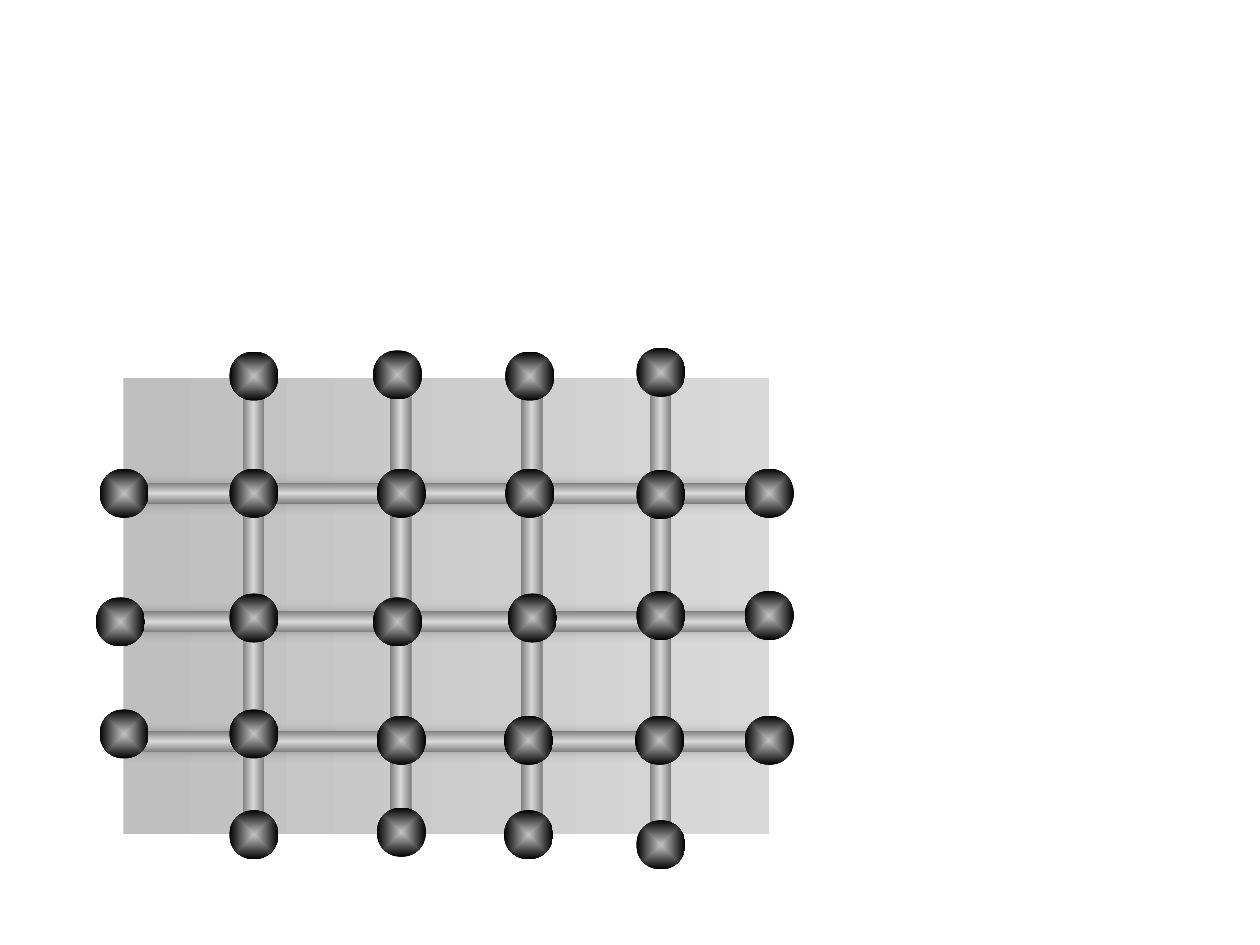
from dataclasses import dataclass
from lxml import etree
from pptx import Presentation
from pptx.enum.shapes import MSO_SHAPE as Shape
from pptx.oxml.ns import qn
from pptx.util import Inches, Pt


@dataclass(frozen=True)
class Theme:
    panel: tuple = ((3, "BFBFBF"), (100, "D9D9D9"))
    bar: tuple = ((1, "808080"), (50, "D9D9D9"), (100, "808080"))
    knot: tuple = ((3, "BFBFBF"), (100, "000000"))
    shadow: str = "000000"


THEME = Theme()
BAR_WIDTH = 0.17
KNOT_SIZE = 0.39
BAR_TOPS = (2.8, 1.85, 0.83)
BAR_CENTRES = (4.26, 3.24, 2.2, 1.03)
KNOT_ROWS = (
    ((0.84, -0.21), (1.98, -0.22), (3.03, -0.21), (4.07, -0.24)),
    ((-0.19, 0.72), (0.84, 0.72), (2.01, 0.72), (3.03, 0.72), (4.07, 0.73), (4.93, 0.72)),
    ((-0.22, 1.74), (0.84, 1.71), (1.98, 1.74), (3.05, 1.71), (4.07, 1.69), (4.93, 1.69)),
    ((-0.19, 2.63), (0.84, 2.63), (2.01, 2.68), (3.02, 2.68), (4.06, 2.68), (4.93, 2.68)),
    ((0.84, 3.43), (2.01, 3.41), (3.02, 3.43), (4.07, 3.51)),
)


def add_child(parent, tag, **attributes):
    values = {name: str(value) for name, value in attributes.items()}
    return etree.SubElement(parent, qn(tag), values)


def add_color(parent, color):
    return add_child(parent, "a:srgbClr", val=color)


def set_gradient(shape, stops, angle=None):
    shape.fill.background()
    properties = shape.element.spPr
    gradient = etree.Element(qn("a:gradFill"), rotWithShape="1")
    stop_list = add_child(gradient, "a:gsLst")
    for position, color in stops:
        add_color(add_child(stop_list, "a:gs", pos=position * 1000), color)
    if angle is None:
        center = add_child(gradient, "a:path", path="rect")
        add_child(center, "a:fillToRect", l=50000, t=50000, r=50000, b=50000)
    else:
        add_child(gradient, "a:lin", ang=angle * 60000, scaled=0)
    properties.replace(properties.find(qn("a:noFill")), gradient)


def set_soft_shadow(shape):
    effects = shape.element.spPr.find(qn("a:effectLst"))
    shadow = add_child(effects, "a:outerShdw", blurRad=Pt(6), dist=0,
                       dir=315 * 60000, algn="ctr", rotWithShape=0)
    add_child(add_color(shadow, THEME.shadow), "a:alpha", val=20000)


def add_part(slide, kind, left, top, width, height, stops, angle=None):
    shape = slide.shapes.add_shape(
        kind, Inches(left), Inches(top), Inches(width), Inches(height))
    shape.shadow.inherit = False
    shape.line.fill.background()
    set_gradient(shape, stops, angle)
    return shape


def add_lattice(slide, left, top, width, height):
    add_part(slide, Shape.RECTANGLE, left, top, width, height, THEME.panel, 0)
    for bar_top in BAR_TOPS:
        bar = add_part(slide, Shape.RECTANGLE, left, top + bar_top,
                       width, BAR_WIDTH, THEME.bar, 270)
        set_soft_shadow(bar)
    for centre in BAR_CENTRES:
        bar = add_part(slide, Shape.RECTANGLE, left + centre - height / 2,
                       top + (height - BAR_WIDTH) / 2, height, BAR_WIDTH, THEME.bar, 270)
        bar.rotation = 90
    for row in KNOT_ROWS:
        for knot_left, knot_top in row:
            add_part(slide, Shape.OVAL, left + knot_left, top + knot_top,
                     KNOT_SIZE, KNOT_SIZE, THEME.knot)


presentation = Presentation()
presentation.slide_width = Inches(10)
presentation.slide_height = Inches(7.5)
slide = presentation.slides.add_slide(presentation.slide_layouts[6])
add_lattice(slide, 0.98, 3, 5.12, 3.62)
presentation.save("out.pptx")
